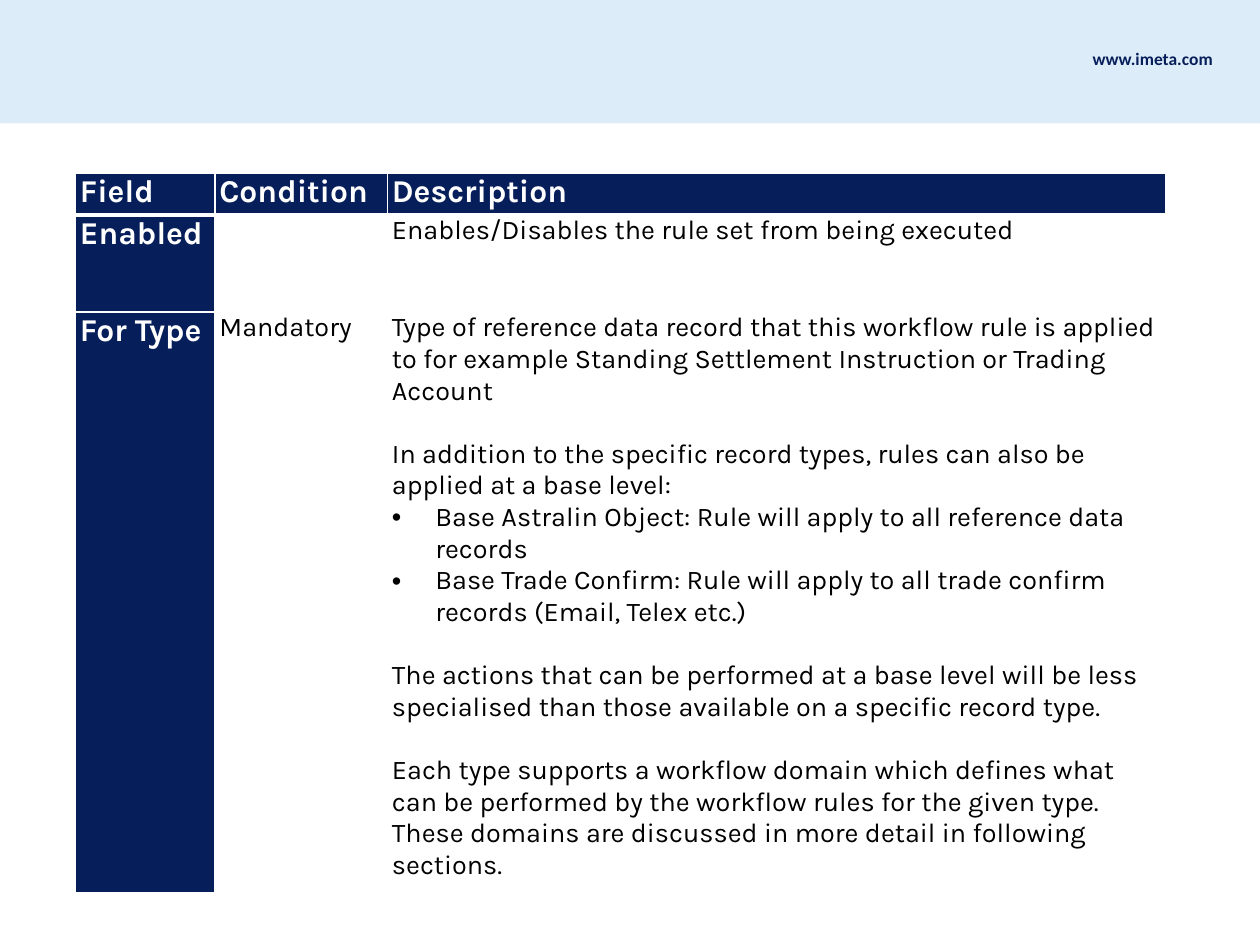
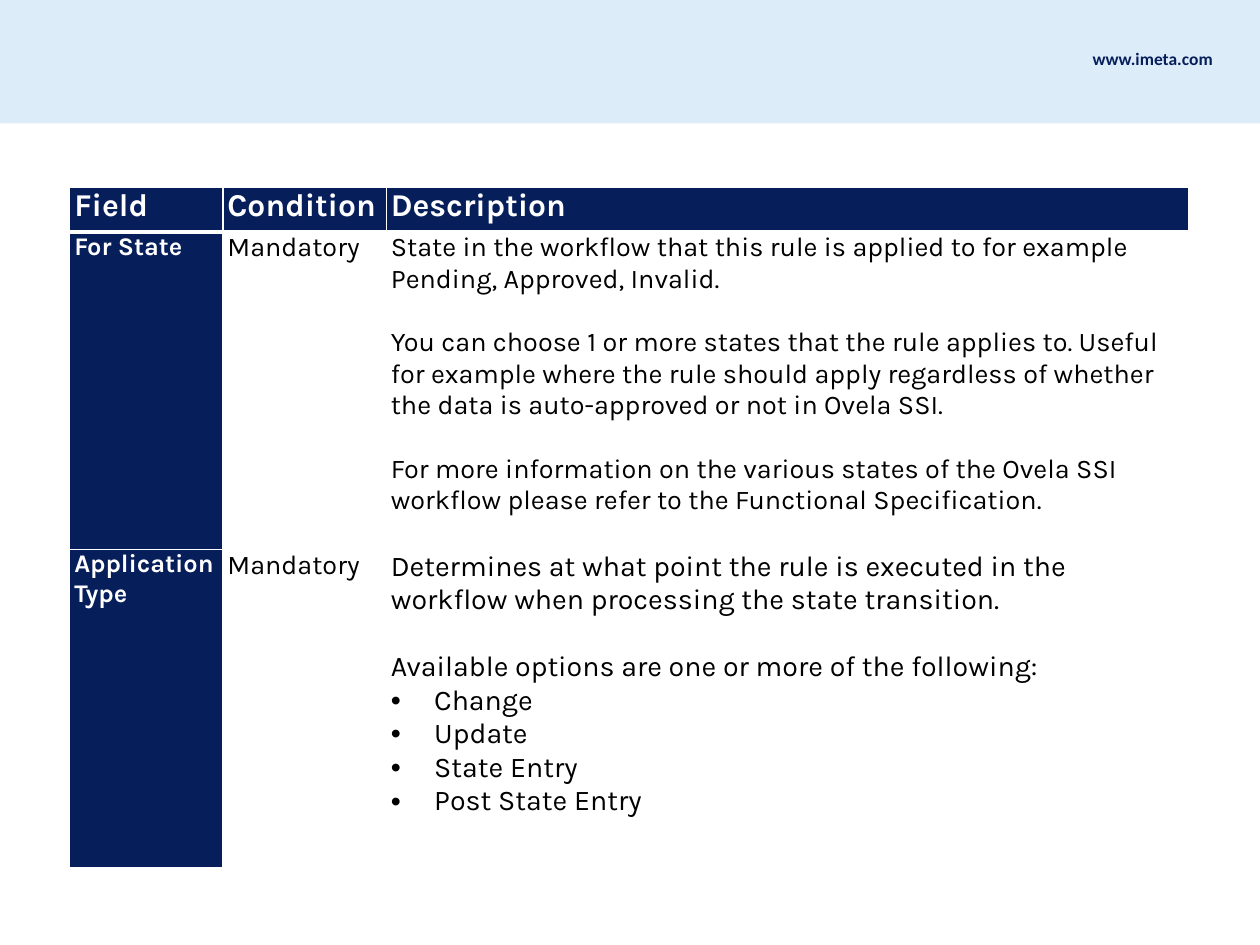
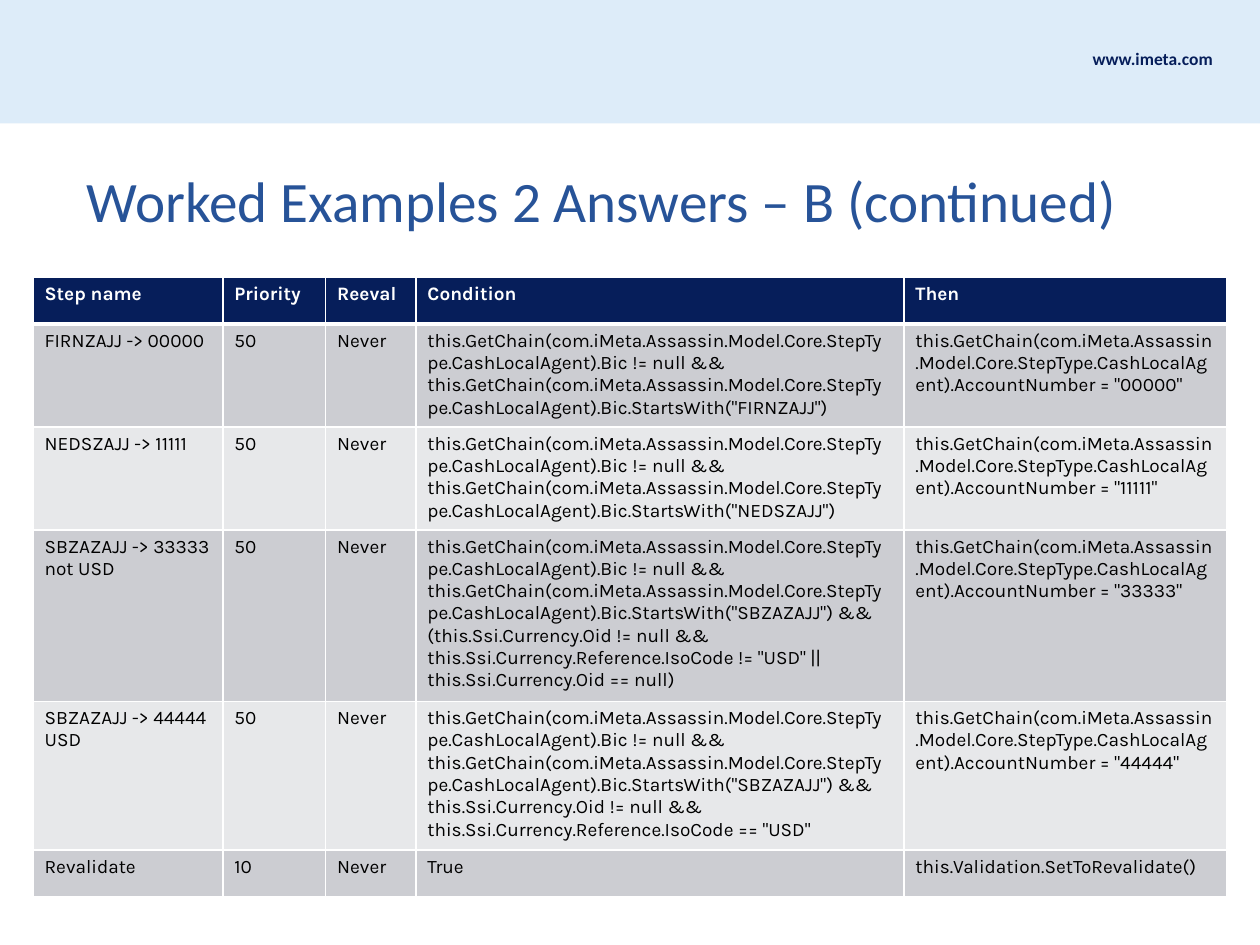
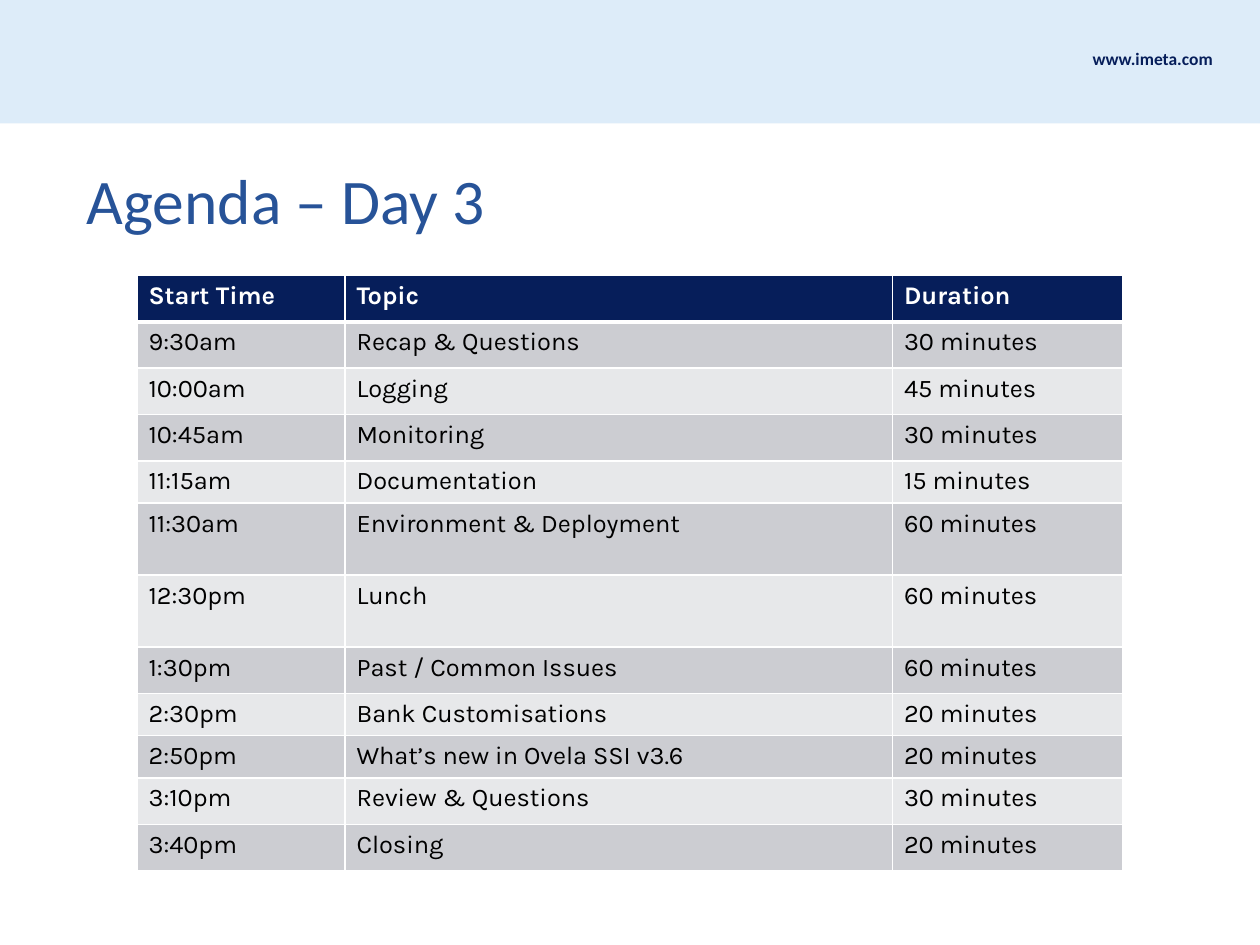
from dataclasses import dataclass

from lxml import etree
from pptx import Presentation
from pptx import util as u
from pptx.dml.color import RGBColor
from pptx.enum import shapes, text
from pptx.oxml import ns

# Shared look
NAVY, BLUE, PALE = "061E5A", "275398", "DDECF9"
WHITE, BLACK = "FFFFFF", "000000"
BANDS = ("CCCDD2", "E7E8EA")
HEAD_FONT, BODY_FONT = "Calibri", "Karla"
WIDTH, HEIGHT = 28 / 2.54, 21 / 2.54  # 28 by 21 cm
BULLET_INDENT = 0.38
LINE_PITCH = 1.17
ROW = 29.2 / 72  # standard table row, 29.2 pt
DEFAULT_INSETS = (0.1, 0.05)
TIGHT_INSETS = (0.04, 0)


@dataclass
class Para:
    text: str
    bullet: bool = False
    gap: bool = False  # leave one empty line above


@dataclass
class Cell:
    paras: list[Para]
    size: float
    color: str = BLACK
    bold: bool = False
    fill: str | None = None


@dataclass
class Grid:
    left: float
    top: float
    height: float
    cols: list[float]
    rows: list[float]
    cells: list[list[Cell]]
    insets: tuple[float, float] = DEFAULT_INSETS


def rgb(value: str) -> RGBColor:
    return RGBColor.from_string(value)


# Text
def add_text(p, content: str, *, size: float, color: str = BLACK, bold: bool = False,
             font: str = BODY_FONT, bullet: bool = False, before: float = 0) -> None:
    if bullet:
        pPr = p._p.get_or_add_pPr()
        pPr.set("marL", str(u.Inches(BULLET_INDENT)))
        pPr.set("indent", str(-u.Inches(BULLET_INDENT)))
        etree.SubElement(pPr, ns.qn("a:buFont"), typeface="Arial")
        etree.SubElement(pPr, ns.qn("a:buChar"), char="•")
    if before:
        p.space_before = u.Pt(before)
    r = p.add_run()
    r.text = content
    r.font.name, r.font.size, r.font.bold = font, u.Pt(size), bold
    r.font.color.rgb = rgb(color)


# Slide furniture
def add_slide(prs):
    s = prs.slides.add_slide(prs.slide_layouts[6])
    band = s.shapes.add_shape(shapes.MSO_SHAPE.RECTANGLE, 0, 0,
                              prs.slide_width, u.Inches(1.08))
    band.shadow.inherit = False
    band.fill.solid()
    band.fill.fore_color.rgb = rgb(PALE)
    band.line.fill.background()
    sp = s.shapes.add_textbox(u.Inches(9.46), u.Inches(0.37), u.Inches(1.28), u.Inches(0.29))
    tf = sp.text_frame
    tf.word_wrap = False
    tf.auto_size = text.MSO_AUTO_SIZE.SHAPE_TO_FIT_TEXT
    add_text(tf.paragraphs[0], "www.imeta.com", size=11, color=NAVY, bold=True, font=HEAD_FONT)
    return s


def add_title(s, title: str, size: float) -> None:
    sp = s.shapes.add_textbox(u.Inches(0.76), u.Inches(1.26), u.Inches(9.51), u.Inches(0.97))
    tf = sp.text_frame
    tf.word_wrap = True
    tf.vertical_anchor = text.MSO_ANCHOR.MIDDLE
    tf.margin_left = tf.margin_right = tf.margin_top = tf.margin_bottom = 0
    add_text(tf.paragraphs[0], title, size=size, color=BLUE, font=HEAD_FONT)


# Tables
def set_borders(tc, row: int) -> None:
    """White rules all round, with a thick one under the header row."""
    widths = {"L": 1, "R": 1, "T": 3 if row == 1 else 1, "B": 3 if row == 0 else 1}
    tcPr = tc._tc.get_or_add_tcPr()
    for side, width in widths.items():
        ln = etree.SubElement(tcPr, ns.qn(f"a:ln{side}"), w=str(u.Pt(width)))
        fill = etree.SubElement(ln, ns.qn("a:solidFill"))
        etree.SubElement(fill, ns.qn("a:srgbClr"), val=WHITE)


def fill_cell(tc, cell: Cell, row: int, insets: tuple[float, float]) -> None:
    set_borders(tc, row)
    if cell.fill:
        tc.fill.solid()
        tc.fill.fore_color.rgb = rgb(cell.fill)
    else:
        tc.fill.background()
    tc.margin_left = tc.margin_right = u.Inches(insets[0])
    tc.margin_top = tc.margin_bottom = u.Inches(insets[1])
    tf = tc.text_frame
    for i, para in enumerate(cell.paras):
        p = tf.add_paragraph() if i else tf.paragraphs[0]
        add_text(p, para.text, size=cell.size, color=cell.color, bold=cell.bold,
                 bullet=para.bullet,
                 before=round(cell.size * LINE_PITCH, 1) if para.gap else 0)


def add_grid(s, grid: Grid) -> None:
    frame = s.shapes.add_table(len(grid.rows), len(grid.cols),
                               u.Inches(grid.left), u.Inches(grid.top),
                               u.Inches(sum(grid.cols)), u.Inches(grid.height))
    table = frame.table
    table.first_row = table.horz_banding = False
    for col, width in zip(table.columns, grid.cols):
        col.width = u.Inches(width)
    for row, height in zip(table.rows, grid.rows):
        row.height = u.Inches(height)
    frame.height = u.Inches(grid.height)
    for i, cells in enumerate(grid.cells):
        for j, cell in enumerate(cells):
            fill_cell(table.cell(i, j), cell, i, grid.insets)


def navy_cell(content: str, size: float) -> Cell:
    return Cell([Para(content)], size, WHITE, True, NAVY)


def field_row(field: str, field_size: float, condition: str, description: list[Para],
              size: float = 17, fill: str | None = None) -> list[Cell]:
    return [navy_cell(field, field_size),
            Cell([Para(condition)] if condition else [], 17, fill=fill),
            Cell(description, size, fill=fill)]


def field_header() -> list[Cell]:
    return [navy_cell(name, 20) for name in ("Field", "Condition", "Description")]


def banded_cells(header: list[str], rows: list[tuple[str, ...]], size: float) -> list[list[Cell]]:
    body = [[Cell([Para(value)], size, fill=BANDS[i % 2]) for value in row]
            for i, row in enumerate(rows)]
    return [[navy_cell(name, size) for name in header]] + body


# Slide 1: rule set fields
def enabled_and_type(prs) -> None:
    type_paras = [
        Para("Type of reference data record that this workflow rule is applied to for example "
             "Standing Settlement Instruction or Trading Account"),
        Para("In addition to the specific record types, rules can also be applied at a base level:",
             gap=True),
        Para("Base Astralin Object: Rule will apply to all reference data records", bullet=True),
        Para("Base Trade Confirm: Rule will apply to all trade confirm records (Email, Telex etc.)",
             bullet=True),
        Para("The actions that can be performed at a base level will be less specialised than "
             "those available on a specific record type.", gap=True),
        Para("Each type supports a workflow domain which defines what can be performed by the "
             "workflow rules for the given type. These domains are discussed in more detail in "
             "following sections.", gap=True),
    ]
    cells = [
        field_header(),
        field_row("Enabled", 20, "", [Para("Enables/Disables the rule set from being executed")]),
        field_row("For Type", 20, "Mandatory", type_paras),
    ]
    add_grid(add_slide(prs), Grid(0.66, 1.52, 6.03, [1.22, 1.51, 6.81], [0.36, 0.85, 4.83],
                                  cells, TIGHT_INSETS))


# Slide 2: state and application type
def state_and_application(prs) -> None:
    state_paras = [
        Para("State in the workflow that this rule is applied to for example Pending, Approved, "
             "Invalid."),
        Para("You can choose 1 or more states that the rule applies to. Useful for example where "
             "the rule should apply regardless of whether the data is auto-approved or not in "
             "Ovela SSI.", gap=True),
        Para("For more information on the various states of the Ovela SSI workflow please refer "
             "to the Functional Specification.", gap=True),
    ]
    options = ("Change", "Update", "State Entry", "Post State Entry")
    application_paras = [
        Para("Determines at what point the rule is executed in the workflow when processing the "
             "state transition."),
        Para("Available options are one or more of the following:", gap=True),
        *(Para(option, bullet=True) for option in options),
    ]
    cells = [
        field_header(),
        field_row("For State", 16, "Mandatory", state_paras, fill=WHITE),
        field_row("Application Type", 16, "Mandatory", application_paras, 18, WHITE),
    ]
    add_grid(add_slide(prs), Grid(0.61, 1.64, 5.95, [1.34, 1.43, 7.02], [0.39, 2.78, 2.78],
                                  cells, TIGHT_INSETS))


# Slide 3: worked example
def worked_example(prs) -> None:
    agent = "this.GetChain(com.iMeta.Assassin.Model.Core.StepType.CashLocalAgent)"
    currency = "this.Ssi.Currency"

    def step(bic: str, account: str, suffix: str = "", extra: str = "") -> tuple[str, ...]:
        return (f"{bic} -> {account}{suffix}", "50", "Never",
                f'{agent}.Bic != null && {agent}.Bic.StartsWith("{bic}"){extra}',
                f'{agent}.AccountNumber = "{account}"')

    rows = [
        step("FIRNZAJJ", "00000"),
        step("NEDSZAJJ", "11111"),
        step("SBZAZAJJ", "33333", " not USD",
             f' && ({currency}.Oid != null && {currency}.Reference.IsoCode != "USD"'
             f' || {currency}.Oid == null)'),
        step("SBZAZAJJ", "44444", " USD",
             f' && {currency}.Oid != null && {currency}.Reference.IsoCode == "USD"'),
        ("Revalidate", "10", "Never", "True", "this.Validation.SetToRevalidate()"),
    ]
    header = ["Step name", "Priority", "Reeval", "Condition", "Then"]
    s = add_slide(prs)
    add_title(s, "Worked Examples 2 Answers – B (continued)", 36)
    add_grid(s, Grid(0.29, 2.43, 5.41, [1.66, 0.9, 0.79, 4.27, 2.82], [ROW] * 6,
                     banded_cells(header, rows, 12)))


# Slide 4: agenda
def agenda(prs) -> None:
    sessions = [
        ("9:30am", "Recap & Questions", 30, ROW),
        ("10:00am", "Logging", 45, ROW),
        ("10:45am", "Monitoring", 30, ROW),
        ("11:15am", "Documentation", 15, 0.37),
        ("11:30am", "Environment & Deployment", 60, 0.63),
        ("12:30pm", "Lunch", 60, 0.63),
        ("1:30pm", "Past / Common Issues", 60, ROW),
        ("2:30pm", "Bank Customisations", 20, 0.37),
        ("2:50pm", "What’s new in Ovela SSI v3.6", 20, 0.37),
        ("3:10pm", "Review & Questions", 30, ROW),
        ("3:40pm", "Closing", 20, ROW),
    ]
    rows = [(start, topic, f"{minutes} minutes") for start, topic, minutes, _ in sessions]
    heights = [ROW] + [height for *_, height in sessions]
    s = add_slide(prs)
    add_title(s, "Agenda – Day 3", 40)
    add_grid(s, Grid(1.2, 2.41, 5.21, [1.82, 4.79, 2.01], heights,
                     banded_cells(["Start Time", "Topic", "Duration"], rows, 16)))


def main() -> None:
    prs = Presentation()
    prs.slide_width, prs.slide_height = u.Inches(WIDTH), u.Inches(HEIGHT)
    for build in (enabled_and_type, state_and_application, worked_example, agenda):
        build(prs)
    prs.save("out.pptx")


if __name__ == "__main__":
    main()
